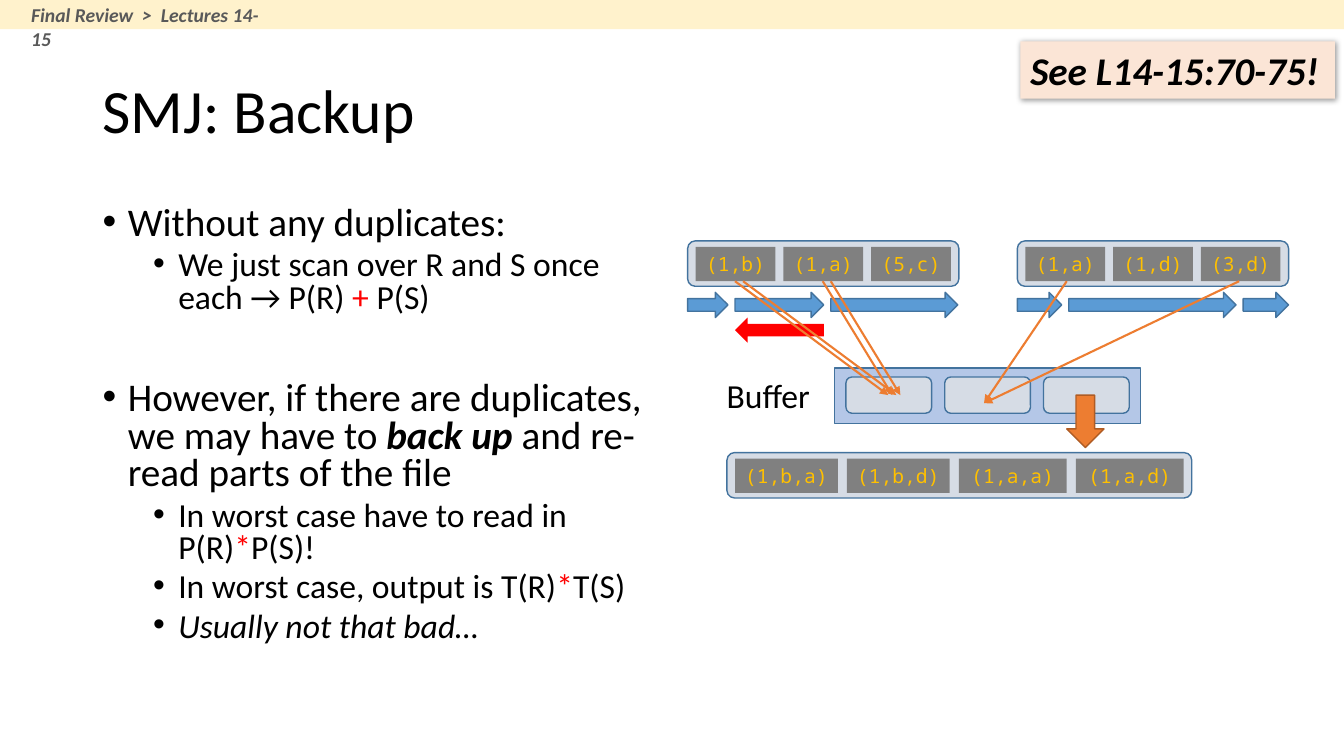
import pptx
import pptx.util
import pptx.dml.color
import pptx.enum.shapes
import pptx.enum.text
import pptx.oxml
import pptx.oxml.ns
from pptx.util import Inches

COLORS = {
    "text": "000000", "muted": "595959", "accent": "FF0000",
    "banner": "FFF2CC", "callout": "FBE5D6",
    "page": "D6DCE5", "buffer": "B4C7E7", "outline": "43739E",
    "record": "808080", "record_text": "FFC000",
    "scan": "5B9BD5", "read": "ED7D31", "read_outline": "AF5C24",
}
SHAPE = pptx.enum.shapes.MSO_SHAPE
ALIGN = pptx.enum.text.PP_ALIGN
ANCHOR = pptx.enum.text.MSO_ANCHOR
NAMESPACE = pptx.oxml.ns.nsdecls("a")


def color(name):
    return pptx.dml.color.RGBColor.from_string(COLORS[name])


def add_shape(slide, kind, box, fill, outline=None):
    shape = slide.shapes.add_shape(kind, *map(Inches, box))
    shape.shadow.inherit = False
    shape.fill.solid()
    shape.fill.fore_color.rgb = color(fill)
    if outline:
        shape.line.color.rgb = color(outline)
        shape.line.width = pptx.util.Pt(1)
    else:
        shape.line.fill.background()
    return shape


def add_text_box(slide, box, anchor=ANCHOR.TOP, wrap=True):
    shape = slide.shapes.add_textbox(*map(Inches, box))
    shape.text_frame.word_wrap = wrap
    shape.text_frame.vertical_anchor = anchor
    return shape.text_frame


def add_run(paragraph, text, size, fill="text", font="Calibri", bold=False, italic=False):
    run = paragraph.add_run()
    run.text = text
    run.font.name = font
    run.font.size = pptx.util.Pt(size)
    run.font.bold = bold
    run.font.italic = italic
    run.font.color.rgb = color(fill)


def add_bullet(paragraph, level, space_before, runs):
    paragraph.level = level
    paragraph.line_spacing = 0.8
    paragraph.space_before = pptx.util.Pt(space_before)
    properties = paragraph._p.get_or_add_pPr()
    properties.set("marL", str(Inches(0.25 + 0.5 * level)))
    properties.set("indent", str(Inches(-0.25)))
    for markup in ('<a:buFont %s typeface="Arial"/>', '<a:buChar %s char="•"/>'):
        properties.append(pptx.oxml.parse_xml(markup % NAMESPACE))
    for text, style in runs:
        add_run(paragraph, text, 24 if level else 28, **style)


def add_read_arrow(slide, start, end):
    connector = slide.shapes.add_connector(
        pptx.enum.shapes.MSO_CONNECTOR.STRAIGHT, *map(Inches, (*start, *end)))
    connector.line.color.rgb = color("read")
    connector.line.width = pptx.util.Pt(1.5)
    connector.line._get_or_add_ln().append(
        pptx.oxml.parse_xml(f'<a:tailEnd {NAMESPACE} type="triangle"/>'))
    connector._element.spPr.append(pptx.oxml.parse_xml(f"<a:effectLst {NAMESPACE}/>"))


def add_page(slide, box, records, widths, gap):
    """A disk page holding a row of records."""
    left, top, _, _ = box
    add_shape(slide, SHAPE.ROUNDED_RECTANGLE, box, "page", "outline")
    left += 0.08
    for text, width in zip(records, widths):
        record = add_shape(slide, SHAPE.RECTANGLE, (left, top + 0.06, width, 0.34), "record")
        frame = record.text_frame
        frame.margin_left = frame.margin_right = 0
        frame.word_wrap = False
        frame.paragraphs[0].alignment = ALIGN.CENTER
        add_run(frame.paragraphs[0], text, 14, "record_text", "Noto Sans Mono")
        left += width + gap


def add_scan_arrows(slide, left, top, widths):
    for width in widths:
        add_shape(slide, SHAPE.RIGHT_ARROW, (left, top, width, 0.25), "scan", "outline")
        left += width + 0.07


def add_buffer(slide, left, top):
    frame = add_text_box(slide, (left, top + 0.02, 1.04, 0.5), wrap=False)
    add_run(frame.paragraphs[0], "Buffer", 24)
    left += 1.17
    add_shape(slide, SHAPE.RECTANGLE, (left, top, 3.03, 0.55), "buffer", "outline")
    for slot in range(3):
        add_shape(slide, SHAPE.ROUNDED_RECTANGLE,
                  (left + 0.11 + 0.98 * slot, top + 0.09, 0.85, 0.36), "page", "outline")


def add_join_diagram(slide, left, top):
    # Input files R and S with their scans
    inputs = [
        (0, ("(1,b)", "(1,a)", "(5,c)"), (0.4, 0.88, 1.26)),
        (3.27, ("(1,a)", "(1,d)", "(3,d)"), (0.44, 1.66, 0.45)),
    ]
    for offset, records, scans in inputs:
        add_page(slide, (left + offset, top, 2.69, 0.45), records, [0.79] * 3, 0.08)
        add_scan_arrows(slide, left + offset, top + 0.51, scans)

    # Buffer and output file
    add_buffer(slide, left + 0.29, top + 1.26)
    add_shape(slide, SHAPE.DOWN_ARROW, (left + 3.76, top + 1.53, 0.37, 0.52),
              "read", "read_outline")
    add_page(slide, (left + 0.39, top + 2.1, 4.61, 0.45),
             ("(1,b,a)", "(1,b,d)", "(1,a,a)", "(1,a,d)"), (1.02, 1.02, 1.07, 1.07), 0.09)

    # Back up over R
    backup = add_shape(slide, SHAPE.RIGHT_ARROW, (left + 0.47, top + 0.76, 0.88, 0.25), "accent")
    backup.rotation = 180

    # Reads into the buffer; records of R are read twice
    for shift in (0, 0.08):
        for start, end in ((0.47, 1.99), (1.34, 2.03)):
            add_read_arrow(slide, (left + start + shift, top + 0.4),
                           (left + end + shift, top + 1.53))
    for start in (3.76, 5.47):
        add_read_arrow(slide, (left + start, top + 0.4), (left + 2.94, top + 1.61))


def add_banner(slide, box):
    left, top, _, _ = box
    add_shape(slide, SHAPE.RECTANGLE, box, "banner")
    frame = add_text_box(slide, (left + 0.21, top - 0.02, 2.61, 0.34))
    add_run(frame.paragraphs[0], "Final Review  >  Lectures 14-15", 14, "muted",
            bold=True, italic=True)


def add_callout(slide, box):
    shape = add_shape(slide, SHAPE.RECTANGLE, box, "callout")
    shape._element.spPr.find(pptx.oxml.ns.qn("a:effectLst")).append(pptx.oxml.parse_xml(
        f'<a:outerShdw {NAMESPACE} blurRad="50800" dist="12700" dir="2700000" algn="tl">'
        '<a:srgbClr val="000000"><a:alpha val="40000"/></a:srgbClr></a:outerShdw>'))
    shape.text_frame.word_wrap = False
    paragraph = shape.text_frame.paragraphs[0]
    paragraph.alignment = ALIGN.LEFT
    add_run(paragraph, "See L14-15:70-75!", 28, bold=True, italic=True)


def add_title(slide, box):
    paragraph = add_text_box(slide, box, ANCHOR.MIDDLE).paragraphs[0]
    paragraph.line_spacing = 0.9
    add_run(paragraph, "SMJ: Backup", 44)


def add_body(slide, box):
    red = {"fill": "accent"}
    bullets = [
        (0, 10, [("Without any duplicates:", {})]),
        (1, 5, [("We just scan over R and S once each → P(R) ", {}), ("+", red), (" P(S)", {})]),
        (0, 47, [("However, if there are duplicates, we may have to ", {}),
                 ("back up", {"bold": True, "italic": True}),
                 (" and re-read parts of the file", {})]),
        (1, 5, [("In worst case have to read in P(R)", {}), ("*", red), ("P(S)!", {})]),
        (1, 5, [("In worst case, output is T(R)", {}), ("*", red), ("T(S)", {})]),
        (1, 5, [("Usually not that bad…", {"italic": True})]),
    ]
    frame = add_text_box(slide, box)
    for index, (level, space_before, runs) in enumerate(bullets):
        paragraph = frame.add_paragraph() if index else frame.paragraphs[0]
        add_bullet(paragraph, level, space_before, runs)


def main():
    presentation = pptx.Presentation()
    presentation.slide_width = Inches(13.33)
    presentation.slide_height = Inches(7.5)
    slide = presentation.slides.add_slide(presentation.slide_layouts[6])
    add_title(slide, (0.92, 0.4, 11.5, 1.45))
    add_body(slide, (0.92, 2, 5.74, 4.76))
    add_join_diagram(slide, 6.82, 2.39)
    add_banner(slide, (0, 0, 13.33, 0.29))
    add_callout(slide, (10.12, 0.41, 3.12, 0.57))
    presentation.save("out.pptx")


if __name__ == "__main__":
    main()
